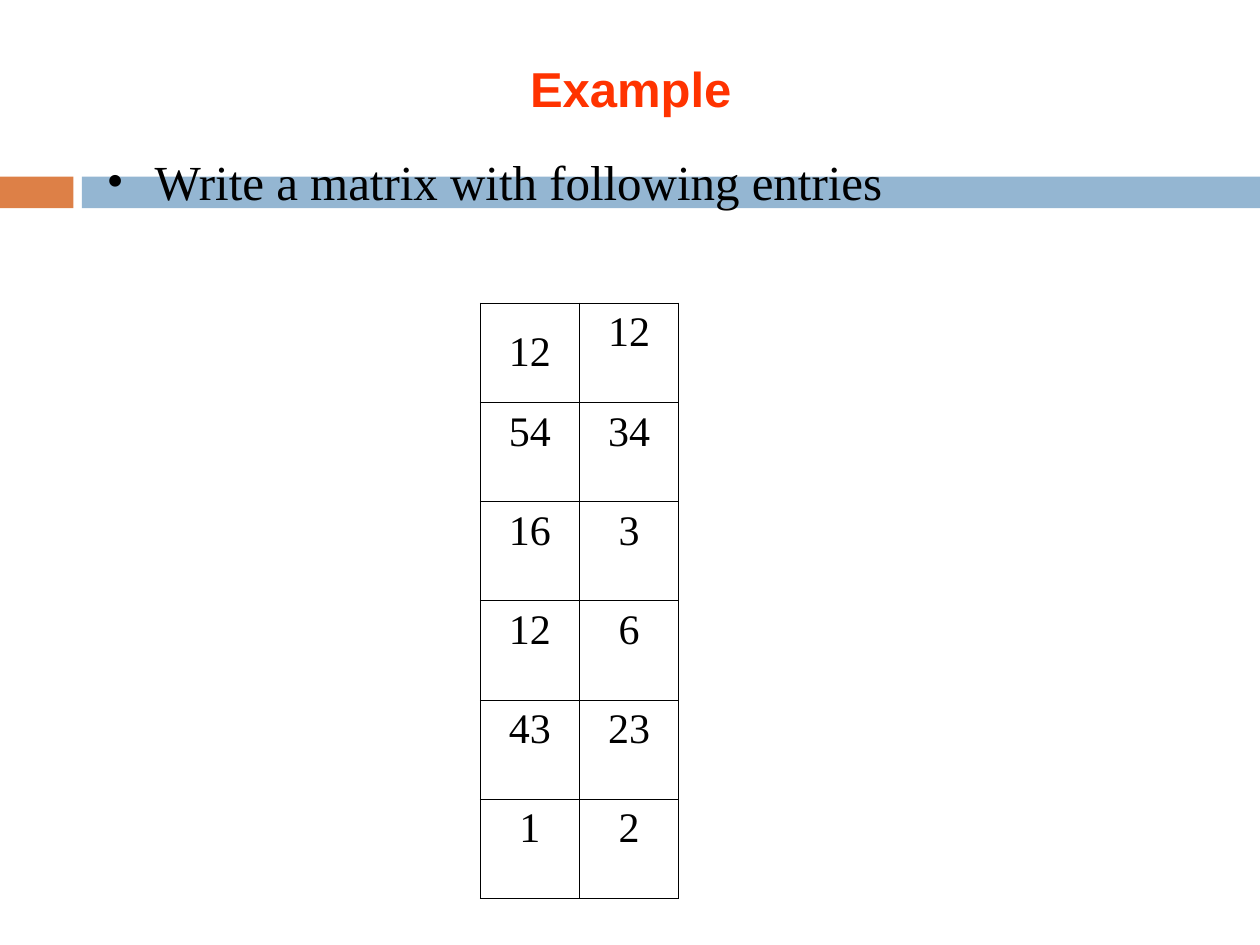
from dataclasses import dataclass

from lxml.etree import SubElement as Sub
from pptx import Presentation
from pptx.dml.color import RGBColor as Rgb
from pptx.enum.shapes import MSO_SHAPE as Shape
from pptx.enum.text import MSO_ANCHOR as Anchor, PP_ALIGN as Align
from pptx.oxml.ns import qn
from pptx.util import Cm, Pt


@dataclass(frozen=True)
class Theme:
    red: str = "FF3300"
    ink: str = "000000"
    orange: str = "DD8047"
    blue: str = "94B6D2"
    sans: str = "Arial"
    serif: str = "Times New Roman"
    head: float = 28
    cell: float = 24
    rule: float = 0.45


THEME = Theme()
ROWS = [(12, 12), (54, 34), (16, 3), (12, 6), (43, 23), (1, 2)]
SIDE = Cm(2)


def style(para, face, size, color, bold=False):
    font = para.font
    font.name, font.size, font.bold = face, Pt(size), bold
    font.color.rgb = Rgb.from_string(color)


def trim(frame):
    frame.margin_left = frame.margin_right = frame.margin_bottom = 0
    frame.margin_top = Cm(0.03)
    frame.word_wrap = True


def add_title(slide, text):
    title = slide.shapes.title
    title.left, title.top = Cm(10.64), Cm(1.14)
    title.width, title.height = Cm(4.15), Cm(1.25)
    frame = title.text_frame
    trim(frame)
    frame.vertical_anchor = Anchor.MIDDLE
    frame.text = text
    para = frame.paragraphs[0]
    para.alignment = Align.CENTER
    style(para, THEME.sans, THEME.head, THEME.red, True)


def add_band(slide, left, width, color):
    band = slide.shapes.add_shape(Shape.RECTANGLE, left, Cm(3.56), width, Cm(0.64))
    band.shadow.inherit = False
    band.fill.solid()
    band.fill.fore_color.rgb = Rgb.from_string(color)
    band.line.fill.background()


def add_bullet(slide, text):
    box = slide.shapes.add_textbox(Cm(2.13), Cm(3.02), Cm(15.72), Cm(1.22))
    trim(box.text_frame)
    para = box.text_frame.paragraphs[0]
    para.text = text
    props = para._p.get_or_add_pPr()
    props.set("marL", str(Cm(0.99)))
    props.set("indent", str(-Cm(0.97)))
    Sub(props, qn("a:buFont"), typeface=THEME.serif)
    Sub(props, qn("a:buChar"), char="•")
    style(para, THEME.serif, THEME.head, THEME.ink)


def add_rules(cell):
    """Draw a thin line on each side of the cell."""
    props = cell._tc.get_or_add_tcPr()
    for side in ("lnL", "lnR", "lnT", "lnB"):
        line = Sub(props, qn(f"a:{side}"), w=str(Pt(THEME.rule)))
        Sub(Sub(line, qn("a:solidFill")), qn("a:srgbClr"), val=THEME.ink)


def add_matrix(slide, rows):
    wide, high = len(rows[0]), len(rows)
    table = slide.shapes.add_table(
        high, wide, Cm(9.68), Cm(6.11), SIDE * wide, SIDE * high
    ).table
    table.first_row = table.horz_banding = False
    for col in table.columns:
        col.width = SIDE
    for r, row in enumerate(rows):
        table.rows[r].height = SIDE
        for c, value in enumerate(row):
            cell = table.cell(r, c)
            cell.margin_left = cell.margin_right = 0
            add_rules(cell)
            cell.fill.background()
            cell.text = str(value)
            para = cell.text_frame.paragraphs[0]
            para.alignment = Align.CENTER
            style(para, THEME.serif, THEME.cell, THEME.ink)
    table.cell(0, 0).vertical_anchor = Anchor.MIDDLE


def main():
    deck = Presentation()
    deck.slide_width, deck.slide_height = Cm(25.4), Cm(19.05)
    slide = deck.slides.add_slide(deck.slide_layouts[5])
    add_band(slide, 0, Cm(1.48), THEME.orange)
    add_band(slide, Cm(1.65), Cm(23.75), THEME.blue)
    add_title(slide, "Example")
    add_bullet(slide, "Write a matrix with following entries")
    add_matrix(slide, ROWS)
    deck.save("out.pptx")


if __name__ == "__main__":
    main()
